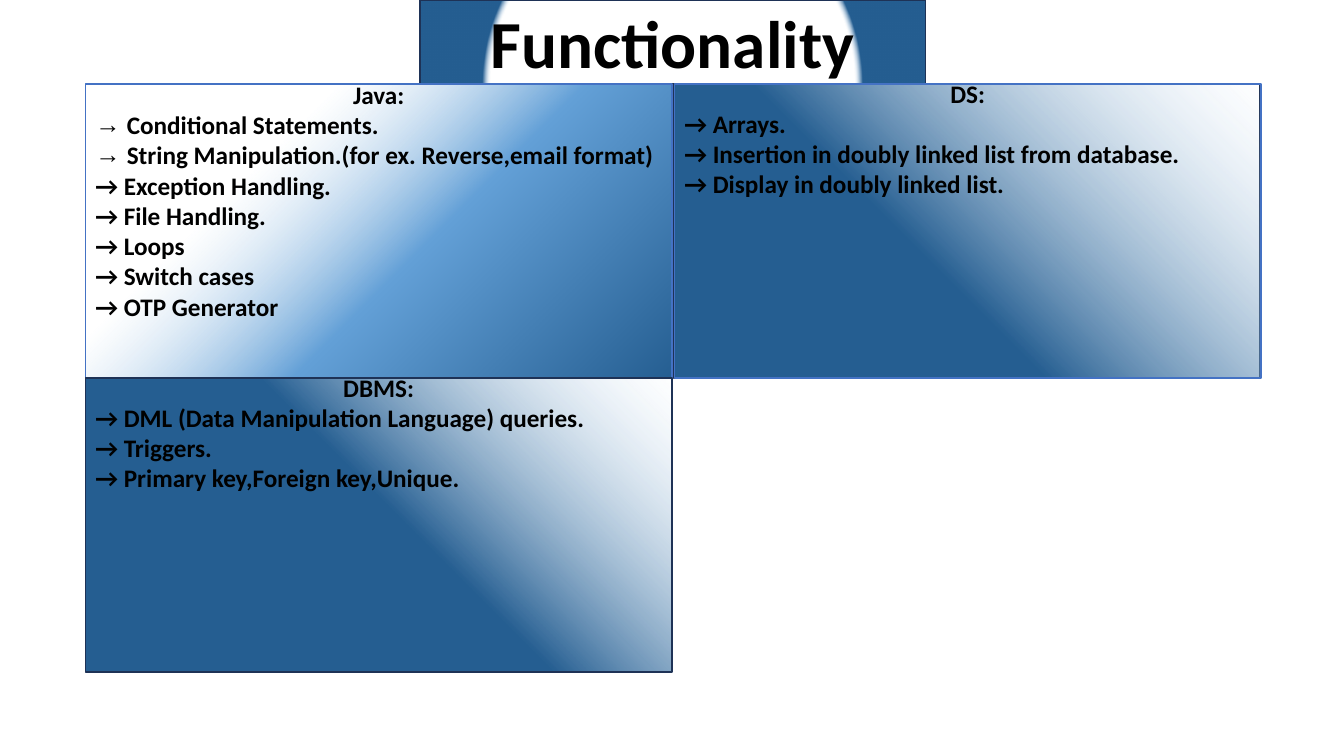
from pptx import Presentation, oxml
from pptx import util as u
from pptx.enum import shapes, text
from pptx.dml.color import RGBColor
from pptx.oxml.ns import nsdecls, qn

COLOURS = {"black": "000000", "white": "FFFFFF", "navy": "1E3256", "blue": "4472C4",
           "deep": "255E91", "sky": "63A0D7", "pale": "BDD7EE"}
FONT = "Calibri"
BULLET_INDENT = 22.5
LINE_HEIGHT = 22
LINES_PER_PANEL = 10
PANEL_WIDTH, PANEL_HEIGHT = 419, 210
LEFT, TOP = 61, 60


def colour(name):
    return RGBColor.from_string(COLOURS[name])


def fill_radial(shape, stops, focus):
    """Fill with a circular gradient; pale stops are transparent, focus is l, t, r, b in percent."""
    marks = ""
    for position, name in stops:
        alpha = '<a:alpha val="0"/>' if name == "pale" else ""
        marks += (f'<a:gs pos="{position * 1000}"><a:srgbClr val="{COLOURS[name]}">'
                  f'{alpha}</a:srgbClr></a:gs>')
    sides = " ".join(f'{side}="{value * 1000}"' for side, value in zip("ltrb", focus))
    gradient = oxml.parse_xml(
        f'<a:gradFill {nsdecls("a")} rotWithShape="1"><a:gsLst>{marks}</a:gsLst>'
        f'<a:path path="circle"><a:fillToRect {sides}/></a:path></a:gradFill>')
    shape.fill.background()
    properties = shape._element.spPr
    properties.replace(properties.find(qn("a:noFill")), gradient)


def outline(shape, name):
    shape.line.color.rgb = colour(name)
    shape.line.width = u.Pt(1)


def style(paragraph, size, alignment):
    paragraph.alignment = alignment
    paragraph.line_spacing = 1.0
    font = paragraph.font
    font.name, font.size, font.bold = FONT, u.Pt(size), True
    font.color.rgb = colour("black")


def add_arrow_bullet(paragraph):
    properties = paragraph._p.get_or_add_pPr()
    properties.set("marL", str(u.Pt(BULLET_INDENT)))
    properties.set("indent", str(-u.Pt(BULLET_INDENT)))
    bullet = [f'<a:buFont {nsdecls("a")} typeface="Arial"/>',
              f'<a:buChar {nsdecls("a")} char="→"/>']
    position = list(properties).index(properties.find(qn("a:defRPr")))
    for offset, xml in enumerate(bullet):
        properties.insert(position + offset, oxml.parse_xml(xml))


def add_title(slide, left, top, width, height):
    title = slide.shapes.title
    title.left, title.top, title.width, title.height = map(u.Pt, (left, top, width, height))
    fill_radial(title, [(71, "pale"), (74, "deep")], (50, 130, 50, -30))
    outline(title, "navy")
    frame = title.text_frame
    frame.text = "Functionality"
    frame.auto_size = text.MSO_AUTO_SIZE.NONE
    frame.vertical_anchor = text.MSO_ANCHOR.MIDDLE
    style(frame.paragraphs[0], 48, text.PP_ALIGN.CENTER)


def add_box(slide, left, top, line):
    box = slide.shapes.add_shape(shapes.MSO_SHAPE.RECTANGLE, u.Pt(left), u.Pt(top),
                                 u.Pt(PANEL_WIDTH), u.Pt(PANEL_HEIGHT))
    box.shadow.inherit = False
    outline(box, line)
    return box


def add_panel(slide, left, top, line, stops, focus, heading, items, bulleted=0):
    """Add a topic panel whose first `bulleted` items use a real arrow bullet."""
    panel = add_box(slide, left, top, line)
    fill_radial(panel, stops, focus)
    frame = panel.text_frame
    frame.word_wrap = True
    frame.vertical_anchor = text.MSO_ANCHOR.MIDDLE
    unused_lines = LINES_PER_PANEL - 1 - len(items)
    frame.margin_bottom = u.Pt(3.6 + unused_lines * LINE_HEIGHT)
    frame.text = heading
    style(frame.paragraphs[0], 18, text.PP_ALIGN.CENTER)
    for index, item in enumerate(items):
        paragraph = frame.add_paragraph()
        paragraph.text = item if index < bulleted else f"→ {item}"
        style(paragraph, 18, text.PP_ALIGN.LEFT)
        if index < bulleted:
            add_arrow_bullet(paragraph)


def add_functionality_slide(presentation):
    slide = presentation.slides.add_slide(presentation.slide_layouts[5])
    right, middle = LEFT + PANEL_WIDTH + 1, TOP + PANEL_HEIGHT
    add_title(slide, 300, 0, 361, TOP)
    add_panel(slide, LEFT, TOP, "blue",
              [(0, "deep"), (43, "sky"), (71, "pale")], (100, 100, 0, 0), "Java:",
              ["Conditional Statements.",
               "String Manipulation.(for ex. Reverse,email format)",
               "Exception Handling.", "File Handling.", "Loops", "Switch cases",
               "OTP Generator"], bulleted=2)
    backing = add_box(slide, right, TOP, "navy")
    backing.fill.solid()
    backing.fill.fore_color.rgb = colour("white")
    add_panel(slide, LEFT, middle, "navy",
              [(0, "pale"), (47, "deep"), (95, "deep")], (100, 0, 0, 100), "DBMS:",
              ["DML (Data Manipulation Language) queries.", "Triggers.",
               "Primary key,Foreign key,Unique."])
    add_panel(slide, right + 0.7, TOP, "blue",
              [(42, "deep"), (100, "pale"), (100, "sky")], (0, 100, 100, 0), "DS:",
              ["Arrays.", "Insertion in doubly linked list from database.",
               "Display in doubly linked list."])


def main():
    presentation = Presentation()
    presentation.slide_width, presentation.slide_height = u.Pt(960), u.Pt(540)
    add_functionality_slide(presentation)
    presentation.save("out.pptx")


if __name__ == "__main__":
    main()
